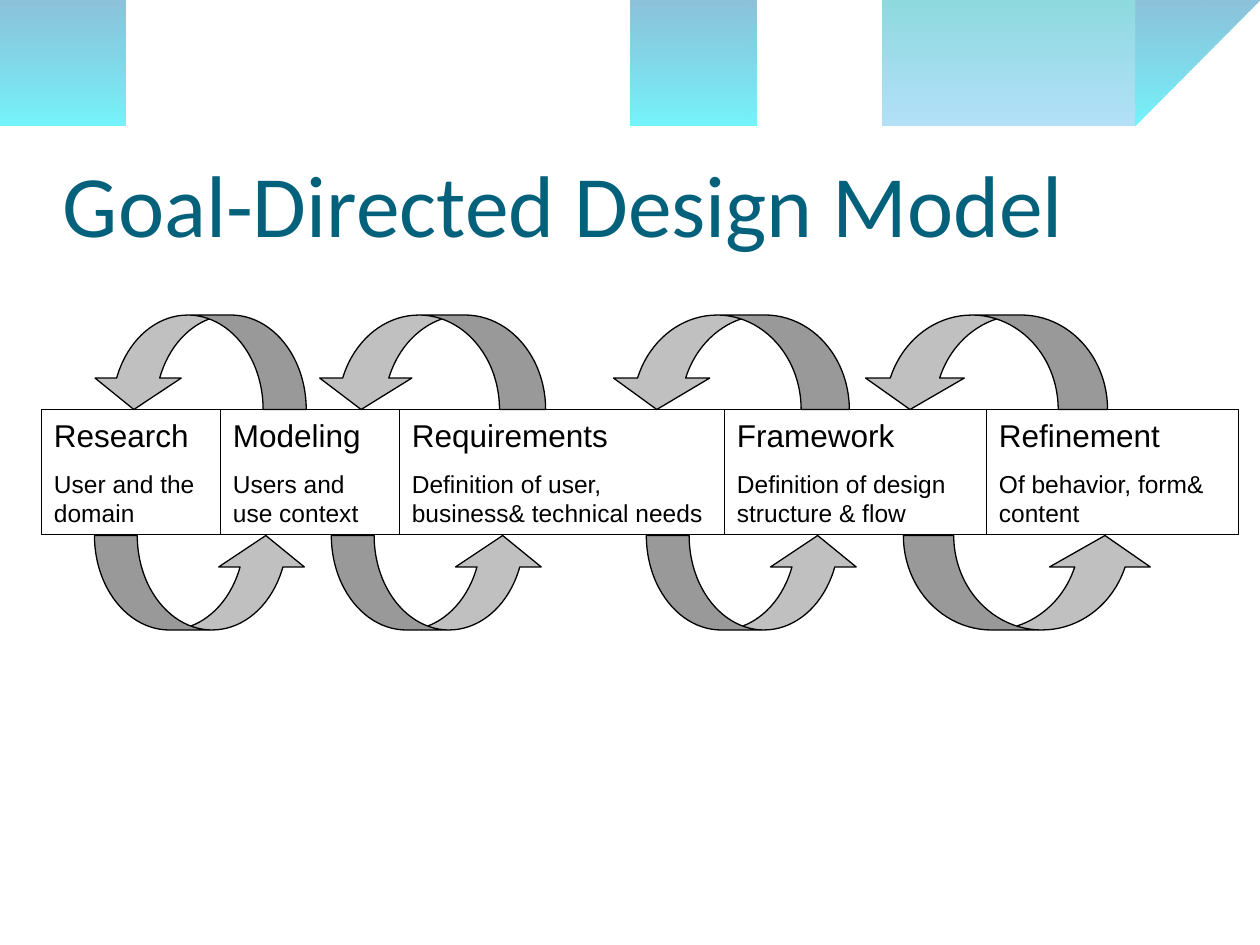
from lxml import etree
from pptx import Presentation
from pptx.dml.color import RGBColor
from pptx.enum.shapes import MSO_SHAPE
from pptx.enum.text import MSO_ANCHOR, MSO_AUTO_SIZE, PP_ALIGN
from pptx.oxml.ns import qn
from pptx.util import Inches, Pt

TITLE_TEAL = RGBColor(0x04, 0x61, 0x7B)
BLACK = RGBColor(0x00, 0x00, 0x00)
SILVER = RGBColor(0xC0, 0xC0, 0xC0)
DEEP_BLUE = RGBColor(0x00, 0x79, 0xAF)
CYAN = RGBColor(0x00, 0xEB, 0xF8)
SEA_GREEN = RGBColor(0x00, 0xAD, 0xB6)
SKY_BLUE = RGBColor(0x00, 0x9B, 0xE5)

prs = Presentation()
prs.slide_width, prs.slide_height = Inches(10), Inches(7.5)
slide = prs.slides.add_slide(prs.slide_layouts[6])


def write(frame, lines, font, color, insets, anchor):
    """Fill a text frame; each line is (text, size, space before)."""
    frame.word_wrap = True
    frame.vertical_anchor = anchor
    (frame.margin_left, frame.margin_top,
     frame.margin_right, frame.margin_bottom) = map(Inches, insets)
    for i, (text, size, before) in enumerate(lines):
        para = frame.paragraphs[0] if i == 0 else frame.add_paragraph()
        para.alignment = PP_ALIGN.LEFT
        para.space_before = Pt(before)
        run = para.add_run()
        run.text = text
        run.font.size, run.font.name = Pt(size), font
        run.font.color.rgb = color


def trace(segments, steps=24):
    """Turn points and cubic curves (three points each) into a polyline."""
    points = []
    for seg in segments:
        if len(seg) == 2:
            points.append(seg)
            continue
        ctrl = (points[-1], seg[:2], seg[2:4], seg[4:])
        for n in range(1, steps + 1):
            t = n / steps
            weights = ((1 - t) ** 3, 3 * t * (1 - t) ** 2, 3 * t * t * (1 - t), t ** 3)
            points.append(tuple(sum(w * p[k] for w, p in zip(weights, ctrl)) for k in (0, 1)))
    return points


# Header waves: outline, then (colour, opacity in percent) from top to bottom
waves = [
    ([(0, -0.01), (4.4, -0.01), (4.76, 0.17, 6.64, 0.63, 7.58, 0.63),
      (8.53, 0.63, 9.58, 0.26, 10, 0.09), (10.01, 0.36),
      (9.83, 0.44, 8.7, 0.76, 7.46, 0.75), (6.22, 0.75, 3.82, 0.28, 2.57, 0.34),
      (1.29, 0.35, 0.46, 0.83, -0.01, 1.13)],
     [(DEEP_BLUE, 45), (CYAN, 55)]),
    ([(4.79, -0.01), (5.09, 0.11, 6.82, 0.62, 7.69, 0.65),
      (8.56, 0.69, 9.61, 0.32, 10, 0.21), (10, 0)],
     [(SEA_GREEN, 45), (SKY_BLUE, 30)]),
]
for outline, colors in waves:
    points = trace(outline)
    builder = slide.shapes.build_freeform(*points[0], scale=Inches(1))
    builder.add_line_segments(points[1:], close=True)
    wave = builder.convert_to_shape()
    wave.shadow.inherit = False
    wave.line.fill.background()
    wave.fill.gradient()
    wave.fill.gradient_angle = 270
    for stop, (color, opacity) in zip(wave.fill.gradient_stops, colors):
        stop.color.rgb = color
    for rgb, (color, opacity) in zip(wave.element.spPr.iter(qn("a:srgbClr")), colors):
        etree.SubElement(rgb, qn("a:alpha")).set("val", str(opacity * 1000))

# Title
title = slide.shapes.add_textbox(Inches(0.5), Inches(0.77), Inches(9), Inches(1.25))
write(title.text_frame, [("Goal-Directed Design Model", 50, 0)], font="Calibri",
      color=TITLE_TEAL, insets=(0, 0.05, 0, 0), anchor=MSO_ANCHOR.BOTTOM)

# Row of phases, edge to edge
phases = [
    ("Research", "User and the domain", 1.42),
    ("Modeling", "Users and use context", 1.42),
    ("Requirements", "Definition of user, business& technical needs", 2.58),
    ("Framework", "Definition of design structure & flow", 2.08),
    ("Refinement", "Of behavior, form& content", 2),
]
left = 0.33
for name, detail, width in phases:
    phase = slide.shapes.add_shape(MSO_SHAPE.RECTANGLE, Inches(left), Inches(3.25),
                                   Inches(width), Inches(0.99))
    phase.shadow.inherit = False
    phase.fill.background()
    phase.line.color.rgb, phase.line.width = BLACK, Pt(0.75)
    write(phase.text_frame, [(name, 18, 11.2), (detail, 14, 8.8)], font="Arial",
          color=BLACK, insets=(0.1, 0.05, 0.1, 0.05), anchor=MSO_ANCHOR.TOP)
    phase.text_frame.auto_size = MSO_AUTO_SIZE.SHAPE_TO_FIT_TEXT
    left += width

# Loop arrows: forward below the row, back above it (turned half round)
ARROW_HEIGHT = 0.75
loops = [
    (4.25, 0, [(0.75, 1.7), (2.63, 1.7), (5.13, 1.7), (7.17, 2)]),
    (2.5, 180, [(6.83, 1.96), (4.83, 1.91), (2.5, 1.83), (0.72, 1.71)]),
]
for top, turn, spans in loops:
    for left, width in spans:
        arrow = slide.shapes.add_shape(MSO_SHAPE.CURVED_UP_ARROW, Inches(left), Inches(top),
                                       Inches(width), Inches(ARROW_HEIGHT))
        arrow.rotation = turn
        # Band is a fifth of the width, head two fifths, head length a third of the height
        arrow.adjustments[0] = 0.2 * width / ARROW_HEIGHT
        arrow.adjustments[1] = 0.4 * width / ARROW_HEIGHT
        arrow.adjustments[2] = 1 / 3
        arrow.shadow.inherit = False
        arrow.fill.solid()
        arrow.fill.fore_color.rgb = SILVER
        arrow.line.color.rgb, arrow.line.width = BLACK, Pt(0.75)

prs.save("out.pptx")
